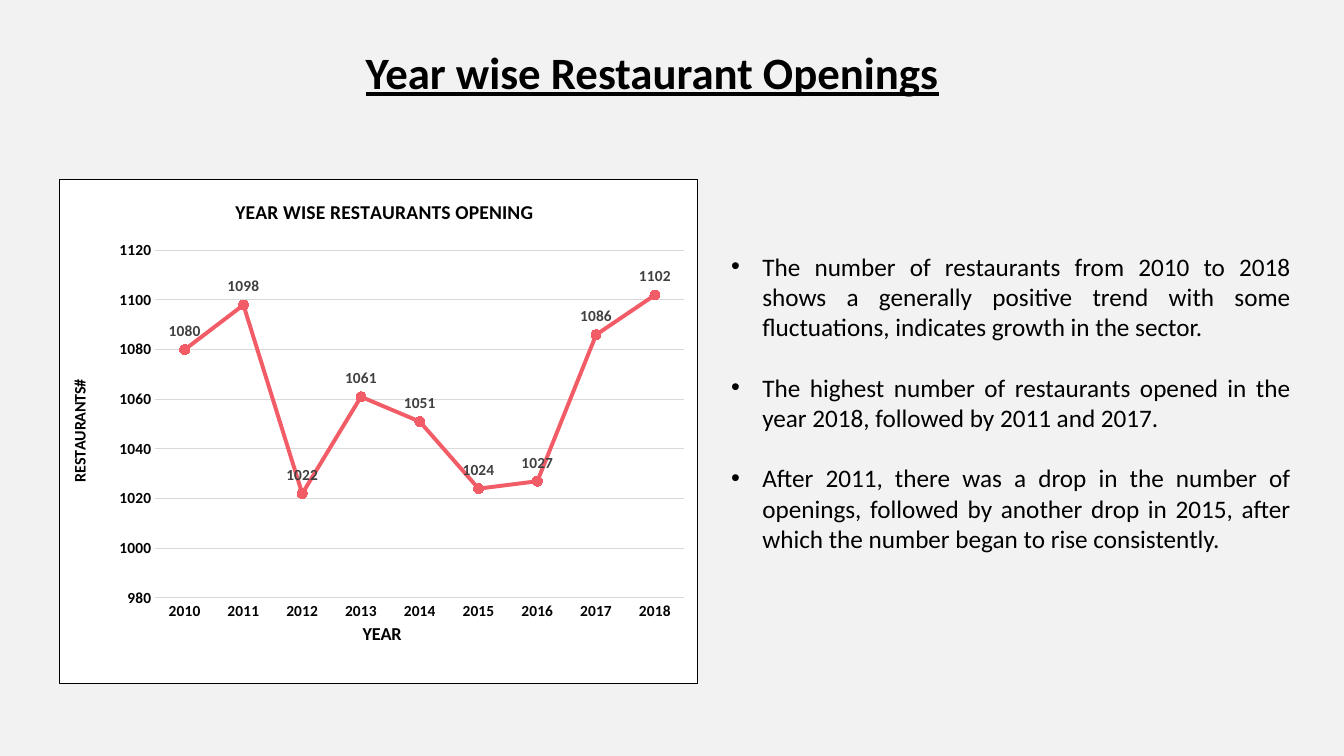
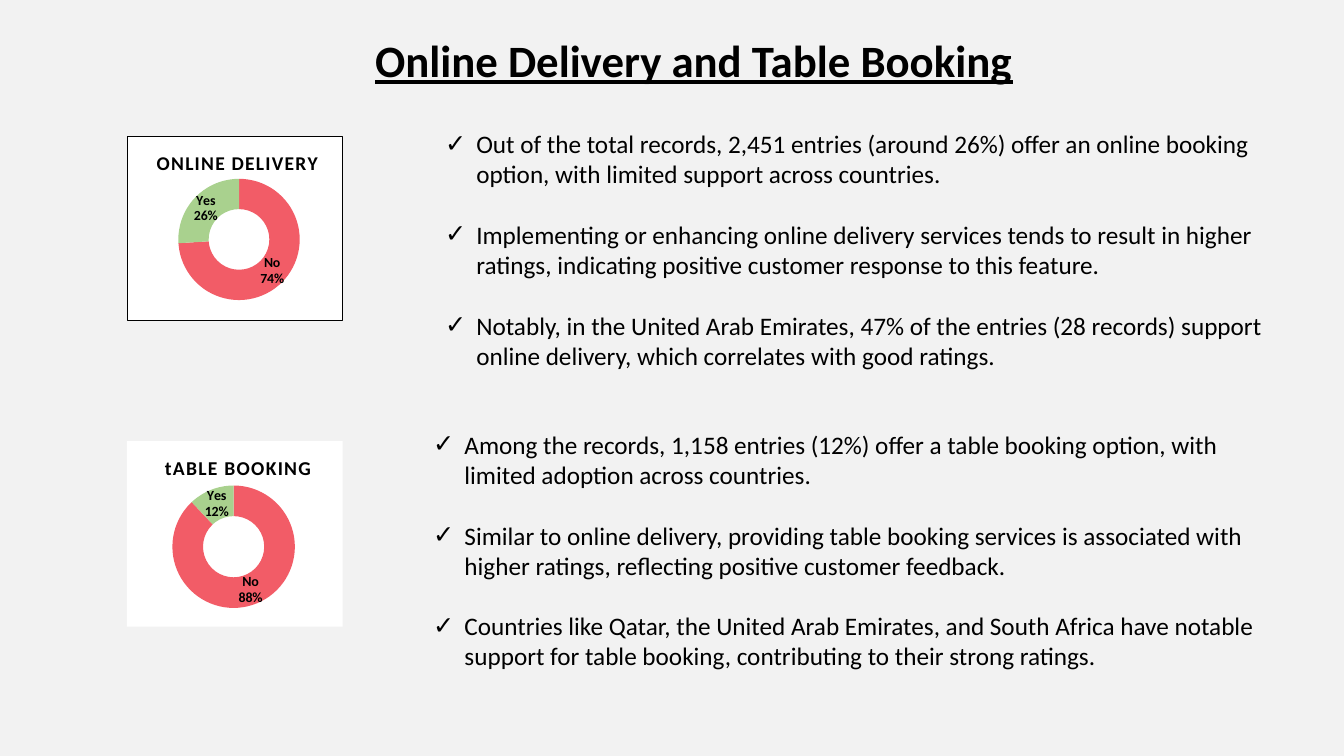
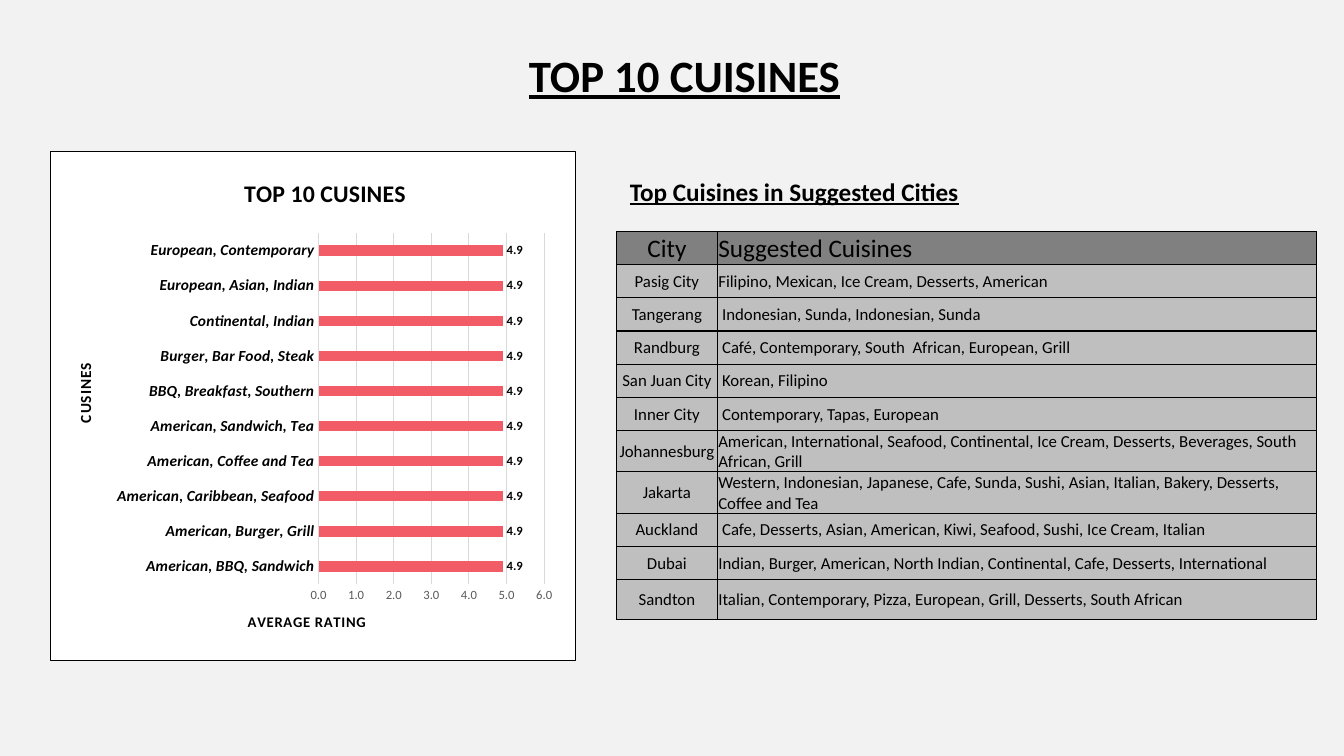
from lxml import etree
from pptx import Presentation
from pptx.chart.data import CategoryChartData
from pptx.dml.color import RGBColor
from pptx.enum.chart import XL_CHART_TYPE, XL_LABEL_POSITION, XL_MARKER_STYLE, XL_TICK_MARK
from pptx.enum.text import MSO_ANCHOR, MSO_AUTO_SIZE, PP_ALIGN
from pptx.oxml import parse_xml
from pptx.oxml.ns import nsdecls, qn
from pptx.util import Inches, Pt

LINE, DOUGHNUT, BAR = XL_CHART_TYPE.LINE_MARKERS, XL_CHART_TYPE.DOUGHNUT, XL_CHART_TYPE.BAR_CLUSTERED
LEFT, CENTER, JUSTIFY = PP_ALIGN.LEFT, PP_ALIGN.CENTER, PP_ALIGN.JUSTIFY
MIDDLE, FIT_SHAPE = MSO_ANCHOR.MIDDLE, MSO_AUTO_SIZE.SHAPE_TO_FIT_TEXT
ABOVE, OUTSIDE = XL_LABEL_POSITION.ABOVE, XL_LABEL_POSITION.OUTSIDE_END
CIRCLE, NO_TICK = XL_MARKER_STYLE.CIRCLE, XL_TICK_MARK.NONE

C = {"page": "F2F2F2", "ink": "000000", "panel": "FFFFFF", "accent": "F25C67", "yes": "A9D18E",
     "grid": "D9D9D9", "label": "404040", "axis": "595959", "head": "808080", "cell": "BFBFBF"}
RGB = {name: RGBColor.from_string(value) for name, value in C.items()}
FONT = "Calibri"
TITLE = {"size": 32, "heading": True, "align": CENTER}
UPRIGHT, TURNED = 0, -5400000

prs = Presentation()
prs.slide_width, prs.slide_height = Inches(13.33), Inches(7.5)
prs.slide_master.background.fill.solid()
prs.slide_master.background.fill.fore_color.rgb = RGB["page"]
BLANK = prs.slide_layouts[6]
COL, ROW = prs.slide_width / 160, prs.slide_height / 90


def add_text(s, box, paragraphs, size=18, heading=False, align=LEFT, bullet=None):
    """Add a text box; box is left, top, width, height in grid cells."""
    x, y, w, h = box
    tf = s.shapes.add_textbox(int(x * COL), int(y * ROW), int(w * COL), int(h * ROW)).text_frame
    tf.word_wrap = True
    tf.auto_size = FIT_SHAPE
    for i, text in enumerate(paragraphs):
        p = tf.add_paragraph() if i else tf.paragraphs[0]
        p.text = text
        p.alignment = align
        font = p.runs[0].font
        font.name, font.size, font.color.rgb = FONT, Pt(size), RGB["ink"]
        font.bold = font.underline = heading
        if i:
            p.space_before = Pt(21.6)
        if bullet:
            pPr = p._p.get_or_add_pPr()
            pPr.set("marL", str(Inches(0.31)))
            pPr.set("indent", str(-Inches(0.31)))
            etree.SubElement(pPr, qn("a:buFont")).set("typeface", "Arial")
            etree.SubElement(pPr, qn("a:buChar")).set("char", bullet)


def add_chart(s, kind, box, cats, vals, plot_box, titles, size=10, border=True):
    """Add a one-series chart on a panel.

    plot_box and the x, y of each title are shares of the chart's size;
    titles holds (part, text, size, letter spacing, rotation, x, y).
    """
    x, y, w, h = box
    data = CategoryChartData()
    data.categories = cats
    data.add_series("Series 1", vals)
    chart = s.shapes.add_chart(kind, int(x * COL), int(y * ROW), int(w * COL), int(h * ROW), data).chart
    chart.has_legend = False
    font = chart.font
    font.name, font.size, font.color.rgb = FONT, Pt(size), RGB["ink"]
    edge = f'<a:solidFill><a:srgbClr val="{C["ink"]}"/></a:solidFill>' if border else "<a:noFill/>"
    chart._chartSpace.find(qn("c:txPr")).addprevious(parse_xml(
        f'<c:spPr {nsdecls("c", "a")}><a:solidFill><a:srgbClr val="{C["panel"]}"/></a:solidFill>'
        f'<a:ln w="9525">{edge}</a:ln></c:spPr>'))

    placed = [(chart._chartSpace.chart.plotArea, plot_box)]
    for part, text, points, spacing, rotation, left, top in titles:
        title = chart.chart_title if part == "chart" else getattr(chart, part).axis_title
        tf = title.text_frame
        tf.text = text
        tf._txBody.bodyPr.set("rot", str(rotation))
        tf._txBody.bodyPr.set("vert", "horz")
        r = tf.paragraphs[0].runs[0]
        r.font.name, r.font.size, r.font.bold, r.font.color.rgb = FONT, Pt(points), True, RGB["ink"]
        r._r.get_or_add_rPr().set("spc", str(spacing))
        placed.append((title._element, (left, top)))
    for element, shares in placed:
        for old in element.findall(qn("c:layout")):
            element.remove(old)
        inner = '<c:layoutTarget val="inner"/>' if len(shares) == 4 else ""
        values = "".join(f'<c:{key} val="{share}"/>' for key, share in zip("xywh", shares))
        tx = element.find(qn("c:tx"))
        element.insert(0 if tx is None else element.index(tx) + 1, parse_xml(
            f'<c:layout {nsdecls("c")}><c:manualLayout>{inner}<c:xMode val="edge"/>'
            f'<c:yMode val="edge"/>{values}</c:manualLayout></c:layout>'))

    if kind != DOUGHNUT:
        chart.plots[0].vary_by_categories = False
        for axis in (chart.category_axis, chart.value_axis):
            axis.major_tick_mark = axis.minor_tick_mark = NO_TICK
            font = axis.tick_labels.font
            font.name, font.size, font.bold, font.color.rgb = FONT, Pt(11), True, RGB["ink"]
            axis.format.line.fill.background()
        grid = chart.value_axis.major_gridlines.format.line
        grid.color.rgb, grid.width = RGB["grid"], Pt(0.75)
    labels = chart.plots[0].series[0].data_labels
    labels.show_value = True
    font = labels.font
    font.name, font.size, font.bold, font.color.rgb = FONT, Pt(size), True, RGB["ink"]
    return chart


# Slide 1: openings per year
s = prs.slides.add_slide(BLANK)
add_text(s, (37.65, 4.7, 80, 7.7), ["Year wise Restaurant Openings"], **TITLE)
chart = add_chart(
    s, LINE, (7.05, 21.35, 76, 60.1), [str(year) for year in range(2010, 2019)],
    [1080, 1098, 1022, 1061, 1051, 1024, 1027, 1086, 1102], (0.15, 0.14, 0.83, 0.69),
    [("chart", "YEAR WISE RESTAURANTS OPENING", 14, 0, UPRIGHT, 0.27, 0.03),
     ("category_axis", "YEAR", 13, 0, UPRIGHT, 0.47, 0.87),
     ("value_axis", "RESTAURANTS#", 11.5, 0, TURNED, 0.01, 0.39)], size=11)
axis = chart.value_axis
axis.minimum_scale, axis.maximum_scale, axis.major_unit = 980, 1120, 20
line = chart.category_axis.format.line
line.color.rgb, line.width = RGB["grid"], Pt(0.75)
series = chart.plots[0].series[0]
series.smooth = False
series.format.line.color.rgb, series.format.line.width = RGB["accent"], Pt(2.8)
marker = series.marker
marker.style, marker.size = CIRCLE, 7
marker.format.fill.solid()
marker.format.fill.fore_color.rgb = marker.format.line.color.rgb = RGB["accent"]
series.data_labels.position = ABOVE
series.data_labels.font.color.rgb = RGB["label"]
add_text(s, (85.85, 29.3, 69, 37.6), [
    "The number of restaurants from 2010 to 2018 shows a generally positive trend with some fluctuations, "
    "indicates growth in the sector.",
    "The highest number of restaurants opened in the year 2018, followed by 2011 and 2017.",
    "After 2011, there was a drop in the number of openings, followed by another drop in 2015, after which "
    "the number began to rise consistently.",
], align=JUSTIFY, bullet="•")

# Slide 2: one doughnut and its findings per service
s = prs.slides.add_slide(BLANK)
add_text(s, (42.6, 3.3, 80, 7.7), ["Online Delivery and Table Booking"], **TITLE)
services = [
    ("ONLINE DELIVERY", (15.1, 16.2, 25.7, 22), [74, 26], (0.23, 0.23, 0.58, 0.66), 0.12, True,
     (51.8, 14.7, 102.7, 30.2), [
         "Out of the total records, 2,451 entries (around 26%) offer an online booking option, with limited "
         "support across countries.",
         "Implementing or enhancing online delivery services tends to result in higher ratings, indicating "
         "positive customer response to this feature.",
         "Notably, in the United Arab Emirates, 47% of the entries (28 records) support online delivery, "
         "which correlates with good ratings."]),
    ("tABLE BOOKING", (15.1, 52.5, 25.7, 22.1), [88, 12], (0.21, 0.24, 0.57, 0.66), 0.16, False,
     (50.4, 50.5, 104.2, 30.2), [
         "Among the records, 1,158 entries (12%) offer a table booking option, with limited adoption across "
         "countries.",
         "Similar to online delivery, providing table booking services is associated with higher ratings, "
         "reflecting positive customer feedback.",
         "Countries like Qatar, the United Arab Emirates, and South Africa have notable support for table "
         "booking, contributing to their strong ratings."]),
]
for name, chart_box, vals, plot_box, title_x, border, text_box, findings in services:
    chart = add_chart(s, DOUGHNUT, chart_box, ["No", "Yes"], vals, plot_box,
                      [("chart", name, 14, 80, UPRIGHT, title_x, 0.05)], border=border)
    plot = chart.plots[0]
    plot._element.find(qn("c:holeSize")).set("val", "45")
    for i, color in enumerate(("accent", "yes")):
        fill = plot.series[0].points[i].format.fill
        fill.solid()
        fill.fore_color.rgb = RGB[color]
    labels = plot.series[0].data_labels
    labels.show_value = False
    labels.show_percentage = labels.show_category_name = True
    labels.number_format, labels.number_format_is_linked = "0%", False
    separator = parse_xml(f'<c:separator {nsdecls("c")}>\n</c:separator>')
    labels._element.find(qn("c:showBubbleSize")).addnext(separator)
    add_text(s, text_box, findings, bullet="✓")

# Slide 3: best rated cuisines and suggestions per city
s = prs.slides.add_slide(BLANK)
add_text(s, (41.5, 5.1, 80, 7.7), ["TOP 10 CUISINES"], **TITLE)
cuisines = [
    "American, BBQ, Sandwich", "American, Burger, Grill", "American, Caribbean, Seafood",
    "American, Coffee and Tea", "American, Sandwich, Tea", "BBQ, Breakfast, Southern",
    "Burger, Bar Food, Steak", "Continental, Indian", "European, Asian, Indian", "European, Contemporary",
]
chart = add_chart(
    s, BAR, (6, 18, 62.6, 60.7), cuisines, [4.9] * len(cuisines), (0.51, 0.16, 0.43, 0.69),
    [("chart", "TOP 10 CUSINES", 17, 0, UPRIGHT, 0.36, 0.04),
     ("category_axis", "CUSINES", 11, 50, TURNED, 0.04, 0.41),
     ("value_axis", "AVERAGE RATING", 10.5, 50, UPRIGHT, 0.37, 0.9)], size=9)
chart.category_axis.tick_labels.font.italic = True
axis = chart.value_axis
axis.minimum_scale, axis.maximum_scale, axis.major_unit = 0, 6, 1
ticks = axis.tick_labels
ticks.font.size, ticks.font.bold, ticks.font.color.rgb = Pt(9), False, RGB["axis"]
plot = chart.plots[0]
plot.gap_width = 241
fill = plot.series[0].format.fill
fill.solid()
fill.fore_color.rgb = RGB["accent"]
labels = plot.series[0].data_labels
labels.position = OUTSIDE
for numbers in (ticks, labels):
    numbers.number_format, numbers.number_format_is_linked = "0.0", False

add_text(s, (73.8, 20.4, 45.2, 4.8), ["Top Cuisines in Suggested Cities"], heading=True)
rows = [
    ("City", "Suggested Cuisines"),
    ("Pasig City", "Filipino, Mexican, Ice Cream, Desserts, American"),
    ("Tangerang", " Indonesian, Sunda, Indonesian, Sunda"),
    ("Randburg", " Café, Contemporary, South  African, European, Grill"),
    ("San Juan City", " Korean, Filipino"),
    ("Inner City", " Contemporary, Tapas, European"),
    ("Johannesburg", "American, International, Seafood, Continental, Ice Cream, Desserts, Beverages, "
                     "South  African, Grill"),
    ("Jakarta", "Western, Indonesian, Japanese, Cafe, Sunda, Sushi, Asian, Italian, Bakery, Desserts, "
                "Coffee and Tea"),
    ("Auckland", " Cafe, Desserts, Asian, American, Kiwi, Seafood, Sushi, Ice Cream, Italian"),
    ("Dubai", "Indian, Burger, American, North Indian, Continental, Cafe, Desserts, International"),
    ("Sandton", "Italian, Contemporary, Pizza, European, Grill, Desserts, South African"),
]
ROW_HEIGHT, LAST_HEIGHT = 3.95, 4.75
table = s.shapes.add_table(len(rows), 2, int(73.4 * COL), int(27.55 * ROW), int(83.3 * COL),
                           int((ROW_HEIGHT * (len(rows) - 1) + LAST_HEIGHT) * ROW)).table
table.first_row = table.horz_banding = False
for column, width in zip(table.columns, (12, 71.3)):
    column.width = int(width * COL)
for i, texts in enumerate(rows):
    table.rows[i].height = int((LAST_HEIGHT if i == len(rows) - 1 else ROW_HEIGHT) * ROW)
    for j, text in enumerate(texts):
        cell = table.cell(i, j)
        cell.margin_left = cell.margin_right = cell.margin_top = Inches(0.01)
        cell.margin_bottom = 0
        cell.vertical_anchor = MIDDLE
        cell.fill.solid()
        cell.fill.fore_color.rgb = RGB["cell" if i else "head"]
        p = cell.text_frame.paragraphs[0]
        p.text = text
        p.alignment = LEFT if j else CENTER
        font = p.runs[0].font
        font.name, font.size, font.color.rgb = FONT, Pt(12 if i else 18), RGB["ink"]
        for k, side in enumerate("LRTB"):
            cell._tc.get_or_add_tcPr().insert(k, parse_xml(
                f'<a:ln{side} {nsdecls("a")} w="12700"><a:solidFill><a:srgbClr val="{C["ink"]}"/>'
                f'</a:solidFill></a:ln{side}>'))

prs.save("out.pptx")
